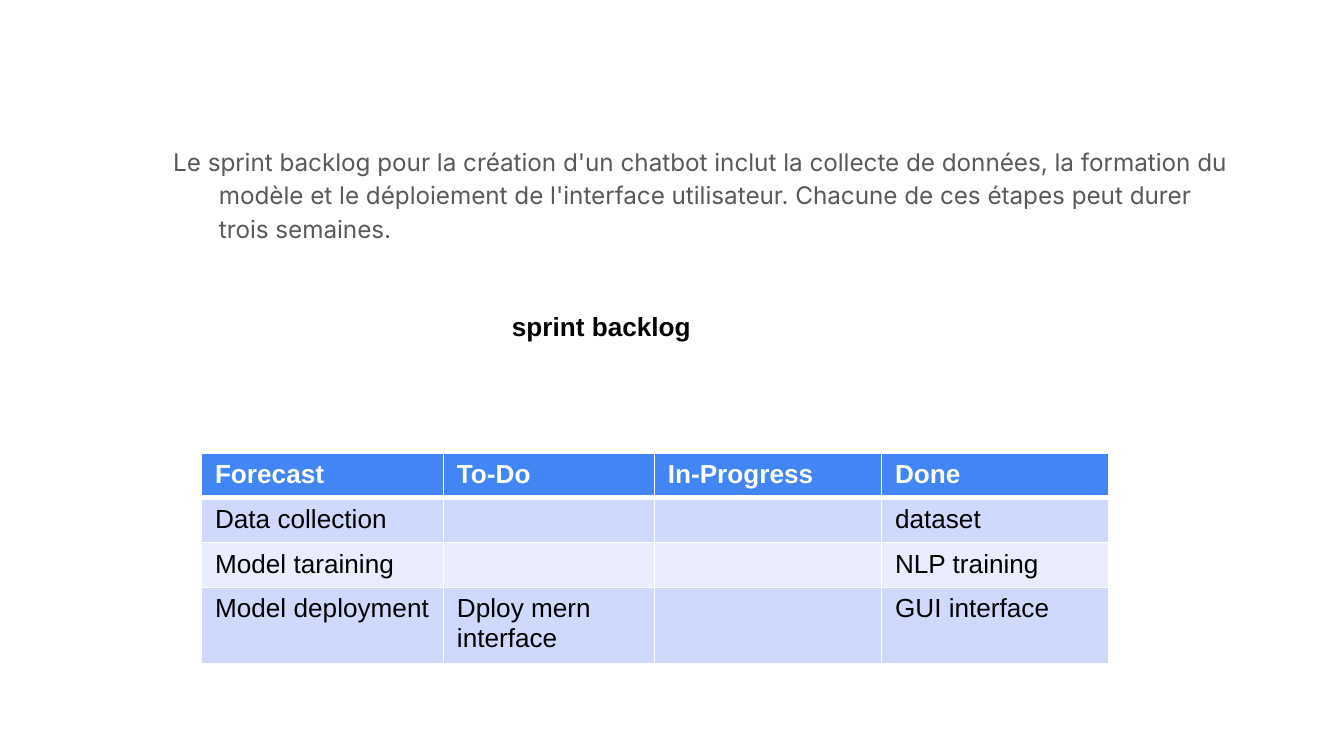
from pptx import Presentation
from pptx.dml.color import RGBColor
from pptx.enum import text
from pptx.oxml.xmlchemy import OxmlElement
from pptx.util import Pt

TITLE = "sprint backlog"
INTRO = (
    "Le sprint backlog pour la création d'un chatbot inclut la collecte de données, "
    "la formation du modèle et le déploiement de l'interface utilisateur. "
    "Chacune de ces étapes peut durer trois semaines."
)
BACKLOG = [
    ("Forecast", "To-Do", "In-Progress", "Done"),
    ("Data collection", "", "", "dataset"),
    ("Model taraining", "", "", "NLP training"),
    ("Model deployment", "Dploy mern interface", "", "GUI interface"),
]
COLUMN_WIDTHS = [129.6, 113, 121.7, 121.7]
ROW_HEIGHT = 24

THEME = {
    "font": "Arial", "intro_font": "Inter",
    "size": 14, "intro_size": 13,
    "ink": "000000", "intro_ink": "595959", "white": "FFFFFF",
    "header": "4285F4", "bands": ("CFD9FB", "E9EDFD"),
}


def style(paragraph, font, size, color, bold=False):
    for run in paragraph.runs:
        run.font.name = font
        run.font.size = Pt(size)
        run.font.bold = bold
        run.font.color.rgb = RGBColor.from_string(color)


def set_borders(cell, widths):
    """Draw white borders; widths maps each side (L, R, T, B) to points."""
    properties = cell._tc.get_or_add_tcPr()
    for position, (side, width) in enumerate(widths.items()):
        line = OxmlElement(f"a:ln{side}")
        line.set("w", str(Pt(width)))
        fill = OxmlElement("a:solidFill")
        color = OxmlElement("a:srgbClr")
        color.set("val", THEME["white"])
        fill.append(color)
        line.append(fill)
        properties.insert(position, line)


def set_empty_size(paragraph, size):
    """Keep an empty cell from growing its row."""
    end = OxmlElement("a:endParaRPr")
    end.set("sz", str(size * 100))
    paragraph._p.append(end)


def add_title(slide):
    title = slide.shapes.title
    title.left, title.top, title.width, title.height = map(Pt, (126.7, 162.7, 391, 24.5))
    frame = title.text_frame
    frame.text = TITLE
    frame.word_wrap = True
    frame.auto_size = text.MSO_AUTO_SIZE.NONE
    frame.vertical_anchor = text.MSO_ANCHOR.TOP
    paragraph = frame.paragraphs[0]
    paragraph.alignment = text.PP_ALIGN.CENTER
    style(paragraph, THEME["font"], THEME["size"], THEME["ink"], bold=True)


def add_intro(slide):
    frame = slide.shapes.add_textbox(*map(Pt, (74.2, 69.1, 592.6, 68.4))).text_frame
    frame.text = INTRO
    frame.word_wrap = True
    frame.margin_left = frame.margin_right = Pt(7.2)
    frame.margin_top = frame.margin_bottom = Pt(7.2)
    paragraph = frame.paragraphs[0]
    paragraph.line_spacing = 1.15
    properties = paragraph._p.get_or_add_pPr()
    properties.set("marL", str(Pt(36)))
    properties.set("indent", str(Pt(-24.5)))
    style(paragraph, THEME["intro_font"], THEME["intro_size"], THEME["intro_ink"])


def add_backlog(slide):
    table = slide.shapes.add_table(
        len(BACKLOG), len(COLUMN_WIDTHS), Pt(108), Pt(242.6),
        Pt(sum(COLUMN_WIDTHS)), Pt(ROW_HEIGHT * len(BACKLOG)),
    ).table
    for column, width in zip(table.columns, COLUMN_WIDTHS):
        column.width = Pt(width)
    for row_index, labels in enumerate(BACKLOG):
        table.rows[row_index].height = Pt(ROW_HEIGHT)
        is_header = row_index == 0
        fill = THEME["header"] if is_header else THEME["bands"][(row_index - 1) % 2]
        ink = THEME["white"] if is_header else THEME["ink"]
        borders = {"L": 1, "R": 1, "T": 3 if row_index == 1 else 1, "B": 3 if is_header else 1}
        for column_index, label in enumerate(labels):
            cell = table.cell(row_index, column_index)
            cell.fill.solid()
            cell.fill.fore_color.rgb = RGBColor.from_string(fill)
            set_borders(cell, borders)
            if label:
                cell.text_frame.text = label
                style(cell.text_frame.paragraphs[0], THEME["font"], THEME["size"], ink, bold=is_header)
            else:
                set_empty_size(cell.text_frame.paragraphs[0], THEME["size"])


def main():
    presentation = Presentation()
    presentation.slide_width, presentation.slide_height = Pt(720), Pt(405)
    slide = presentation.slides.add_slide(presentation.slide_layouts[5])
    add_intro(slide)
    add_backlog(slide)
    add_title(slide)
    presentation.save("out.pptx")


if __name__ == "__main__":
    main()
